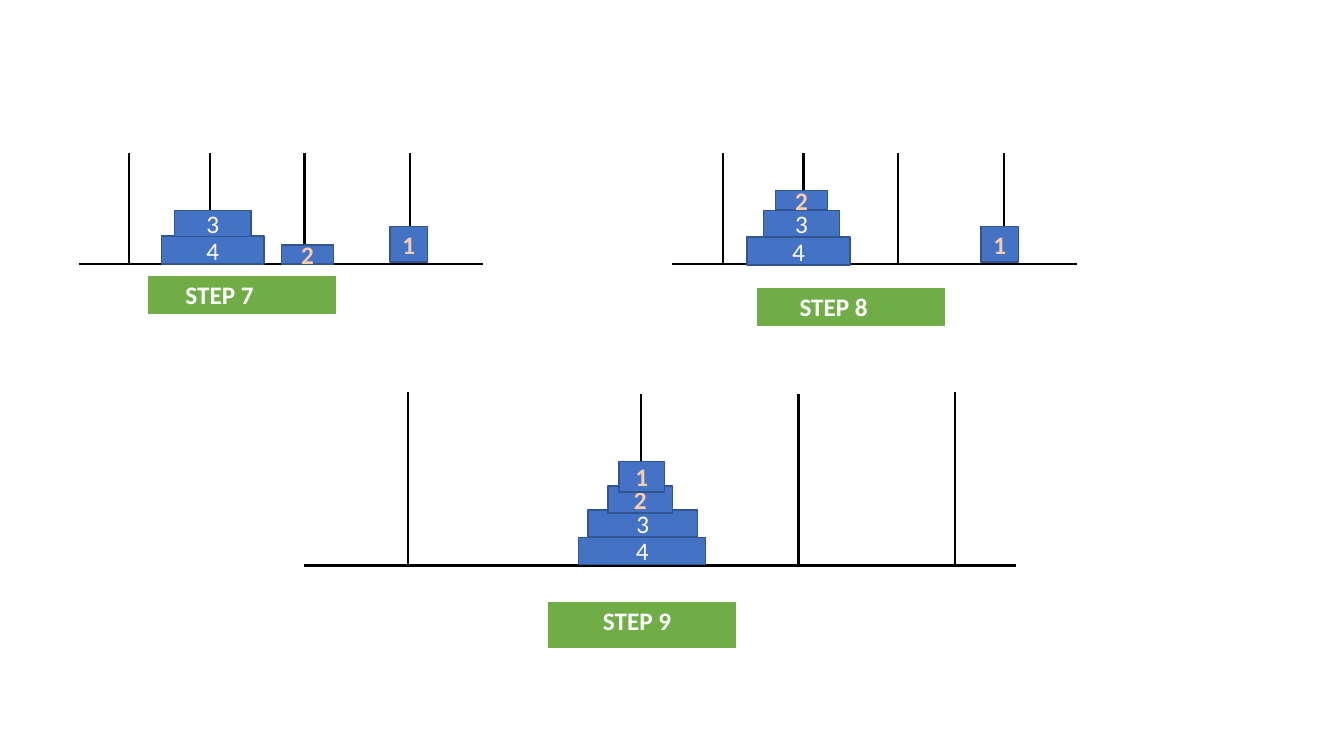
"""Draw steps 7 to 9 of the four-peg Tower of Hanoi."""
from typing import NamedTuple

from lxml import etree
from pptx import Presentation
from pptx import util as u
from pptx.dml.color import RGBColor
from pptx.enum import shapes, text
from pptx.oxml import ns

PX = 9144
BLUE, NAVY, GREEN = "4472C4", "325491", "70AD47"
WHITE, BLACK, PEACH, ORANGE = "FFFFFF", "000000", "F8CBAD", "ED7D31"


class Peg(NamedTuple):
    offset: int
    drop: int = 0


class Disk(NamedTuple):
    number: int
    left: int
    top: int
    width: int
    height: int


class Label(NamedTuple):
    caption: str
    left: int
    top: int
    height: int
    indent: int


class Board(NamedTuple):
    left: int
    base: int
    width: int
    peg_height: int
    pegs: tuple[Peg, ...]
    disks: tuple[Disk, ...]
    label: Label


SMALL_PEGS = (Peg(50), Peg(130), Peg(224), Peg(329))
BOARDS = (
    Board(78, 262, 401, 110, SMALL_PEGS,
          (Disk(4, 160, 234, 102, 28), Disk(3, 173, 209, 76, 26),
           Disk(2, 279, 243, 52, 19), Disk(1, 387, 225, 37, 35)),
          Label("STEP 7", 146, 273, 40, 38)),
    Board(667, 262, 401, 110, SMALL_PEGS,
          (Disk(4, 741, 235, 102, 28), Disk(3, 757, 209, 76, 26),
           Disk(2, 769, 189, 52, 19), Disk(1, 973, 225, 37, 35)),
          Label("STEP 8", 750, 285, 40, 43)),
    Board(302, 561, 706, 172, (Peg(103), Peg(334, 2), Peg(490, 2), Peg(645)),
          (Disk(4, 574, 533, 126, 27), Disk(3, 583, 506, 109, 27),
           Disk(2, 603, 482, 64, 27), Disk(1, 614, 458, 45, 30)),
          Label("STEP 9", 543, 597, 48, 55)),
)


def px(*lengths: int) -> list[int]:
    """Turn px into EMU."""
    return [length * PX for length in lengths]


def paint(target, color: str) -> None:
    """Give a fill or a font one solid colour."""
    fill = target.fill
    fill.solid()
    fill.fore_color.rgb = RGBColor.from_string(color)


def outline(parent, tag: str, color: str, points: float) -> None:
    """Append a solid outline element."""
    line = etree.SubElement(parent, ns.qn(tag), w=str(int(u.Pt(points))))
    solid = etree.SubElement(line, ns.qn("a:solidFill"))
    etree.SubElement(solid, ns.qn("a:srgbClr"), val=color)


def write(frame, caption: str, *, color: str = WHITE, bold: bool = False,
          align=text.PP_ALIGN.CENTER, edge: str = "") -> None:
    """Put one formatted line of text in a frame."""
    para = frame.paragraphs[0]
    para.alignment = align
    span = para.add_run()
    span.text = caption
    font = span.font
    if edge:
        outline(span._r.get_or_add_rPr(), "a:ln", edge, 1.75)
    font.name, font.size, font.bold = "Calibri", u.Pt(18), bold
    paint(font, color)


def draw_line(page, x1: int, y1: int, x2: int, y2: int) -> None:
    """Draw a plain black line."""
    line = page.shapes.add_connector(shapes.MSO_CONNECTOR.STRAIGHT, *px(x1, y1, x2, y2))
    paint(line.line, BLACK)
    line.line.width = u.Pt(1.5)
    etree.SubElement(line._element.spPr, ns.qn("a:effectLst"))


def draw_disk(page, disk: Disk) -> None:
    """Draw a numbered disk; the two smallest have highlighted numbers."""
    box = page.shapes.add_shape(shapes.MSO_SHAPE.RECTANGLE, *px(*disk[1:]))
    box.shadow.inherit = False
    paint(box, BLUE)
    paint(box.line, NAVY)
    box.line.width = u.Pt(1)
    box.text_frame.vertical_anchor = text.MSO_ANCHOR.MIDDLE
    if disk.number <= 2:
        write(box.text_frame, str(disk.number), color=PEACH, bold=True, edge=ORANGE)
    else:
        write(box.text_frame, str(disk.number))


def draw_label(page, label: Label) -> None:
    """Draw a step label as a one-cell table."""
    table = page.shapes.add_table(1, 1, *px(label.left, label.top, 188, label.height)).table
    table.first_row = table.horz_banding = False
    cell = table.cell(0, 0)
    cell.margin_left = label.indent * PX
    for side, points in (("L", 1), ("R", 1), ("T", 1), ("B", 3)):
        outline(cell._tc.get_or_add_tcPr(), f"a:ln{side}", WHITE, points)
    paint(cell, GREEN)
    write(cell.text_frame, label.caption, bold=True, align=text.PP_ALIGN.LEFT)


def draw_board(page, board: Board) -> None:
    """Draw the base, pegs, disks and label of one step."""
    draw_line(page, board.left, board.base, board.left + board.width, board.base)
    for peg in board.pegs:
        x, foot = board.left + peg.offset, board.base + peg.drop
        draw_line(page, x, foot, x, foot - board.peg_height)
    for disk in board.disks:
        draw_disk(page, disk)
    draw_label(page, board.label)


def main() -> None:
    """Build and save the deck."""
    deck = Presentation()
    deck.slide_width, deck.slide_height = px(1333, 750)
    page = deck.slides.add_slide(deck.slide_layouts[6])
    for board in BOARDS:
        draw_board(page, board)
    deck.save("out.pptx")


if __name__ == "__main__":
    main()
